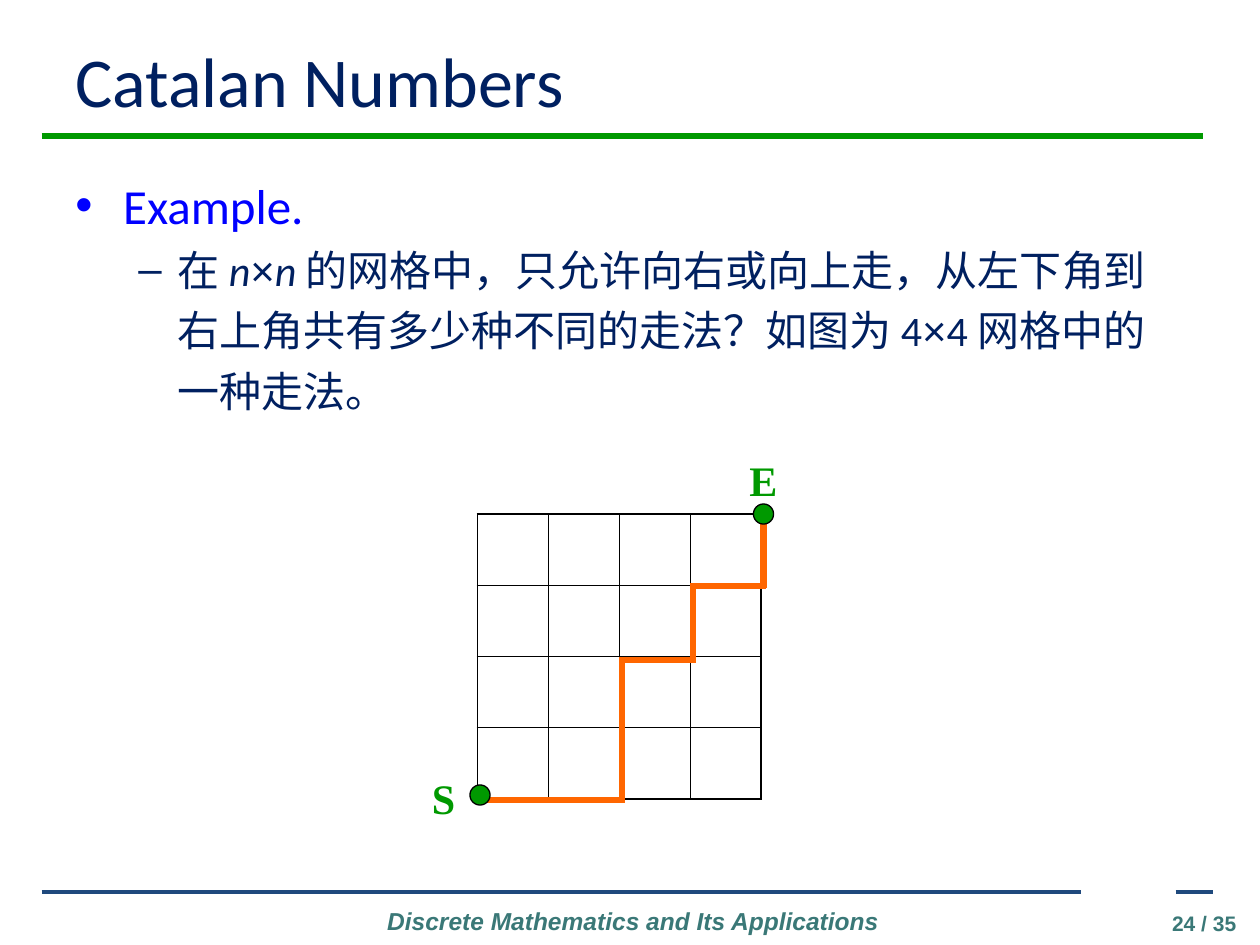
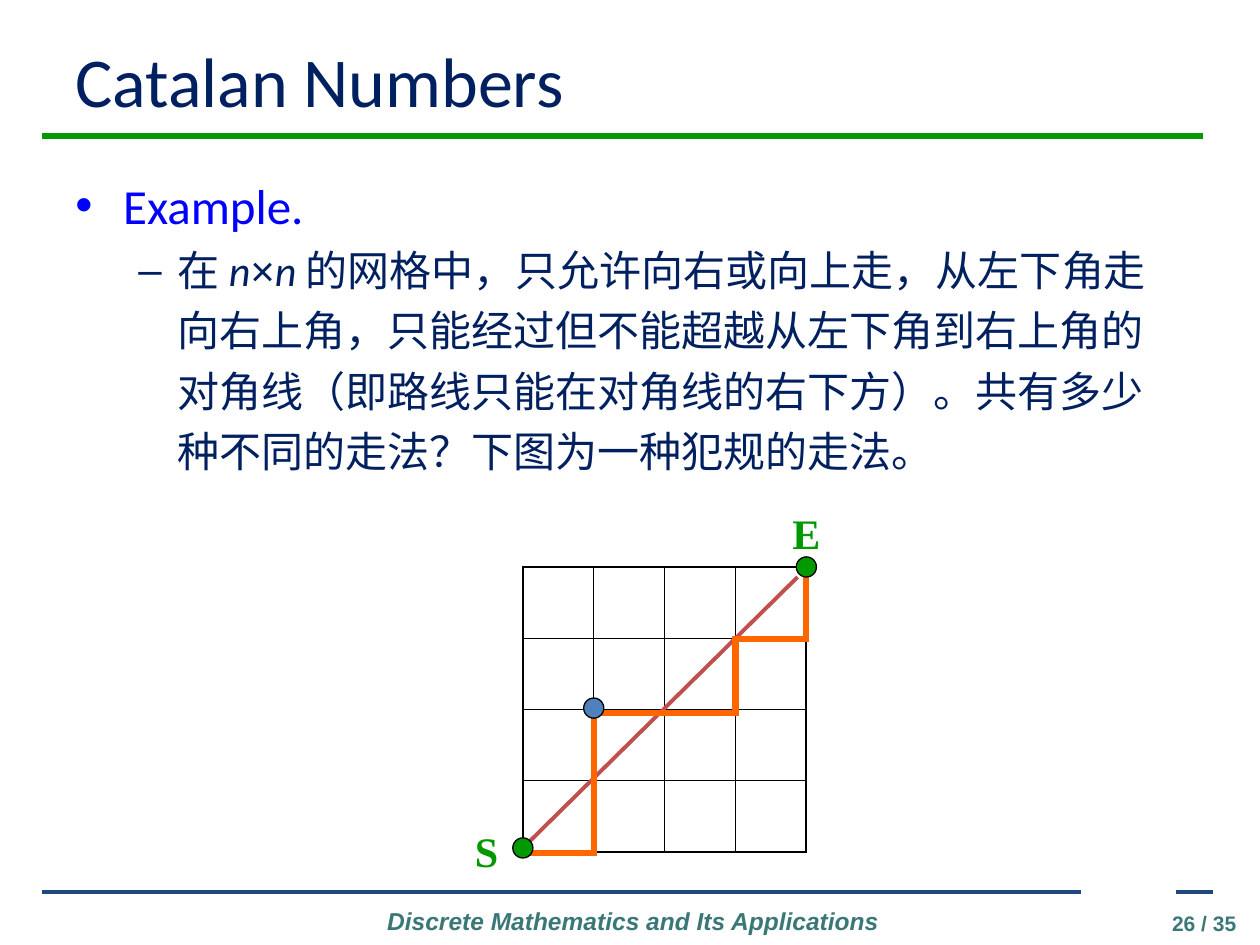
from dataclasses import dataclass
from itertools import product
from typing import NamedTuple

from lxml.etree import SubElement
from pptx import Presentation
from pptx.dml.color import RGBColor
from pptx.enum.shapes import MSO_CONNECTOR as Link, MSO_SHAPE as Shape
from pptx.enum.text import MSO_ANCHOR as Anchor, PP_ALIGN as Align
from pptx.oxml.ns import qn
from pptx.util import Inches, Pt

NAVY, BLUE, GREEN, BLACK = "002060", "0000FF", "009900", "000000"
TEAL, RULE, ORANGE, RED, STEEL = "3A7877", "1F497D", "FF6600", "C0504D", "4F81BD"

SIZE = 4                                  # cells along each side of the grid
STEP = 2.25 / SIZE
CELL = 2.26 / SIZE
LEVELS = (2.27, 1.69, 1.16, 0.57, 0)      # path heights, bottom to top
CAP = 0.02                                # overlap that closes the path corners
DOT = 0.16


class Point(NamedTuple):
    x: float
    y: float


class Rule(NamedTuple):
    start: Point
    end: Point
    color: str
    width: float


class Piece(NamedTuple):
    text: str
    font: str = "Calibri"
    italic: bool = False


class Item(NamedTuple):
    pieces: tuple
    mark: str
    color: str
    size: float
    left: float
    hang: float


class Label(NamedTuple):
    text: str
    box: tuple
    size: float
    color: str
    font: str = "Arial"
    italic: bool = False
    align: Align = Align.LEFT


@dataclass
class Page:
    number: int
    task: tuple
    height: float
    table: Point
    origin: Point
    moves: str
    diagonal: bool = False


RULES = (
    Rule(Point(0.33, 1.08), Point(9.55, 1.08), GREEN, 3),
    Rule(Point(0.33, 7.08), Point(8.58, 7.08), RULE, 2.25),
    Rule(Point(9.33, 7.08), Point(9.63, 7.08), RULE, 2.25),
)
FOOTER = Label("Discrete Mathematics and Its Applications", (2.83, 7.14, 4.39, 0.34),
               14, TEAL, italic=True, align=Align.CENTER)

TIMES = Piece("×", "Arial")
OPENING = (Piece("在 "), Piece("n", italic=True), TIMES, Piece("n ", italic=True))
PAGES = (
    Page(24, OPENING + (
        Piece("的网格中，只允许向右或向上走，从左下角到右上角共有多少种不同的走法？如图为 4"),
        TIMES, Piece("4 网格中的一种走法。")),
        2.1, Point(3.79, 4.08), Point(3.81, 4.08), "RRUURURU"),
    Page(26, OPENING + (
        Piece("的网格中，只允许向右或向上走，从左下角走向右上角，"
              "只能经过但不能超越从左下角到右上角的对角线（即路线只能在对角线的右下方）。"
              "共有多少种不同的走法？下图为一种犯规的走法。"),),
        2.58, Point(4.15, 4.5), Point(4.15, 4.5), "RUURRURU", diagonal=True),
)


def rgb(color: str) -> RGBColor:
    return RGBColor.from_string(color)


def style(run, font: str, size: float, color: str, bold=False, italic=False) -> None:
    face = run.font
    face.name, face.size, face.bold, face.italic = font, Pt(size), bold, italic
    face.color.rgb = rgb(color)


def add_rule(slide, rule: Rule) -> None:
    ends = [Inches(n) for n in (*rule.start, *rule.end)]
    line = slide.shapes.add_connector(Link.STRAIGHT, *ends)
    line.line.color.rgb = rgb(rule.color)
    line.line.width = Pt(rule.width)
    SubElement(line._element.spPr, qn("a:effectLst"))


def add_box(slide, box: tuple):
    frame = slide.shapes.add_textbox(*map(Inches, box)).text_frame
    frame.word_wrap = True
    return frame


def add_label(slide, label: Label) -> None:
    para = add_box(slide, label.box).paragraphs[0]
    para.text, para.alignment = label.text, label.align
    style(para.runs[0], label.font, label.size, label.color, True, label.italic)


def add_item(para, item: Item) -> None:
    para.line_spacing = 1.2
    props = para._p.get_or_add_pPr()
    props.set("marL", str(Inches(item.left)))
    props.set("indent", str(-Inches(item.hang)))
    tint = SubElement(props, qn("a:buClr"))
    SubElement(tint, qn("a:srgbClr"), val=item.color)
    SubElement(props, qn("a:buFont"), typeface="Arial")
    SubElement(props, qn("a:buChar"), char=item.mark)
    for piece in item.pieces:
        run = para.add_run()
        run.text = piece.text
        style(run, piece.font, item.size, item.color, italic=piece.italic)


def add_edge(props, side: str, width: float) -> None:
    edge = SubElement(props, qn(f"a:ln{side}"), w=str(Pt(width)))
    fill = SubElement(edge, qn("a:solidFill"))
    SubElement(fill, qn("a:srgbClr"), val=BLACK)


def add_grid(slide, at: Point) -> None:
    """Draw the square grid with a thicker outer frame."""
    box = map(Inches, (*at, STEP * SIZE, CELL * SIZE))
    table = slide.shapes.add_table(SIZE, SIZE, *box).table
    table.first_row = table.horz_banding = False
    for col in table.columns:
        col.width = Inches(STEP)
    for row in table.rows:
        row.height = Inches(CELL)
    last = SIZE - 1
    for row, col in product(range(SIZE), repeat=2):
        cell = table.cell(row, col)
        props = cell._tc.get_or_add_tcPr()
        outer = {"L": col == 0, "R": col == last, "T": row == 0, "B": row == last}
        for side, thick in outer.items():
            add_edge(props, side, 1.08 if thick else 0.45)
        cell.fill.background()


def add_path(slide, origin: Point, moves: str) -> None:
    """Draw one line for each step right (R) or up (U)."""
    col = row = 0
    for move in moves:
        x, y = origin.x + col * STEP, origin.y + LEVELS[row]
        if move == "R":
            col += 1
            start, end = Point(x - CAP, y), Point(x + STEP + CAP, y)
        else:
            row += 1
            top = origin.y + LEVELS[row]
            start, end = Point(x, y + CAP), Point(x, top - CAP)
        add_rule(slide, Rule(start, end, ORANGE, 3.5))


def add_dot(slide, mid: Point, color: str) -> None:
    box = (mid.x - DOT / 2, mid.y - DOT / 2, DOT, DOT)
    dot = slide.shapes.add_shape(Shape.OVAL, *map(Inches, box))
    dot.shadow.inherit = False
    dot.fill.solid()
    dot.fill.fore_color.rgb = rgb(color)
    dot.line.color.rgb = rgb(BLACK)
    dot.line.width = Pt(0.75)


def add_figure(slide, page: Page) -> None:
    def place(x: float, y: float) -> Point:
        return Point(page.origin.x + x, page.origin.y + y)

    add_grid(slide, page.table)
    if page.diagonal:
        add_rule(slide, Rule(place(0, 2.23), place(2.18, 0.08), RED, 2.25))
    add_path(slide, page.origin, page.moves)
    for text, at in (("S", place(-0.48, 2)), ("E", place(2.04, -0.52))):
        add_label(slide, Label(text, (*at, 0.4, 0.5), 24, GREEN, "Times New Roman"))
    add_dot(slide, place(0, 2.23), GREEN)
    add_dot(slide, place(2.25, 0), GREEN)
    if page.diagonal:
        add_dot(slide, place(STEP, 1.12), STEEL)


def add_title(slide, text: str) -> None:
    title = slide.shapes.title
    title.left, title.top, title.width, title.height = map(Inches, (0.5, 0.25, 9, 0.77))
    frame = title.text_frame
    frame.text, frame.vertical_anchor = text, Anchor.MIDDLE
    para = frame.paragraphs[0]
    para.alignment = Align.LEFT
    style(para.runs[0], "Calibri", 40, NAVY)


def add_page(deck, page: Page) -> None:
    slide = deck.slides.add_slide(deck.slide_layouts.get_by_name("Title Only"))
    for rule in RULES:
        add_rule(slide, rule)
    add_label(slide, FOOTER)
    add_label(slide, Label(f"{page.number} / 35", (8.89, 7.18, 1.02, 0.24),
                           12, TEAL, align=Align.RIGHT))
    add_title(slide, "Catalan Numbers")
    body = add_box(slide, (0.5, 1.25, 9, page.height))
    add_item(body.paragraphs[0], Item((Piece("Example."),), "•", BLUE, 28, 0.38, 0.38))
    task = body.add_paragraph()
    task.level = 1
    add_item(task, Item(page.task, "–", NAVY, 24, 0.81, 0.31))
    add_figure(slide, page)


def main() -> None:
    deck = Presentation()
    deck.slide_width, deck.slide_height = Inches(10), Inches(7.5)
    for page in PAGES:
        add_page(deck, page)
    deck.save("out.pptx")


if __name__ == "__main__":
    main()
